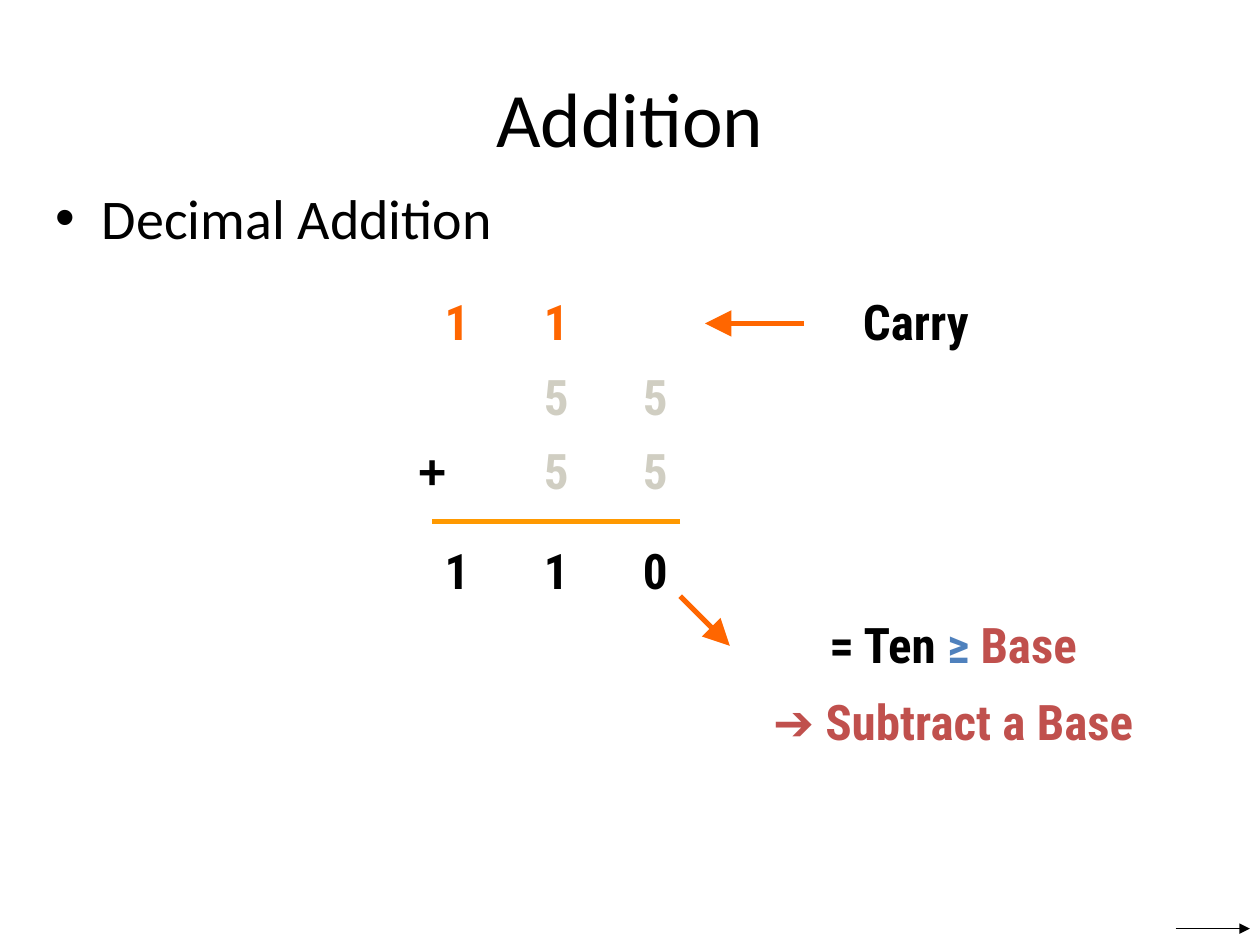
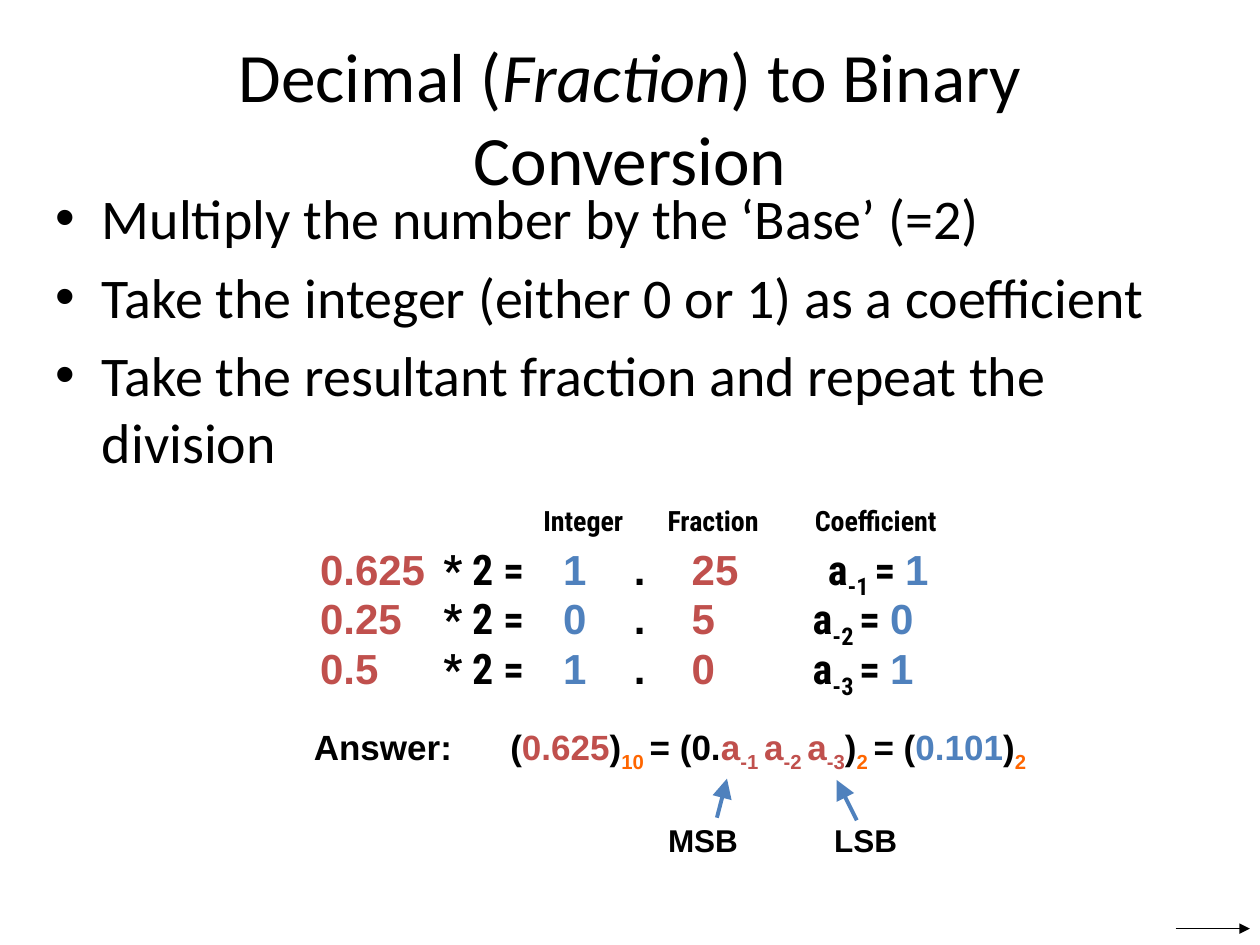
"""Builds two slides on decimal addition and on converting fractions to binary."""
from dataclasses import dataclass

from lxml.etree import SubElement
from pptx import Presentation
from pptx.dml.color import RGBColor
from pptx.enum.shapes import MSO_CONNECTOR
from pptx.enum.text import MSO_ANCHOR, MSO_AUTO_SIZE, PP_ALIGN
from pptx.oxml.ns import qn
from pptx.util import Cm, Inches, Pt

BLACK = RGBColor(0x00, 0x00, 0x00)
ORANGE = RGBColor(0xFF, 0x66, 0x00)
AMBER = RGBColor(0xFF, 0x99, 0x00)
RED = RGBColor(0xC0, 0x50, 0x4D)
BLUE = RGBColor(0x4F, 0x81, 0xBD)
PALE = RGBColor(0xD0, 0xCE, 0xC2)

BODY_FONT = "Calibri"
LABEL_FONT = "Roboto Condensed"
NUMBER_FONT = "Arial"

GRID_LEFT, GRID_TOP, GRID_STEP = Inches(3.43), Inches(2.37), Cm(0.5)
DIGIT_PITCH, DIGIT_SPAN = 4, 2
ROW_TOP, ROW_PITCH = 4.31, 0.395
ROW_TABS = (0.98, 1.93, 2.49, 2.95)


@dataclass
class Span:
    """A piece of text with one format."""
    text: str
    color: RGBColor = BLACK
    font: str = LABEL_FONT
    lowered: bool = False
    italic: bool = False


def grid(column, row):
    """Return the position of a point on the addition grid."""
    return GRID_LEFT + column * GRID_STEP, GRID_TOP + row * GRID_STEP


def point(left, top):
    """Return a position given in inches."""
    return Inches(left), Inches(top)


def write_spans(paragraph, spans, size, bold):
    """Add formatted runs to a paragraph."""
    for span in spans:
        run = paragraph.add_run()
        run.text = span.text
        run.font.name = span.font
        run.font.size = Pt(size)
        run.font.bold = bold
        run.font.italic = span.italic
        run.font.color.rgb = span.color
        if span.lowered:
            run.font._element.set("baseline", "-25000")


def set_tabs(paragraph, stops):
    """Give a paragraph left tab stops in inches."""
    tab_list = SubElement(paragraph._p.get_or_add_pPr(), qn("a:tabLst"))
    for stop in stops:
        SubElement(tab_list, qn("a:tab"), pos=str(Inches(stop)), algn="l")


def add_label(page, lines, place, width, size, height=Inches(0.42),
              align=PP_ALIGN.CENTER, spacing=None, tabs=(), anchor=MSO_ANCHOR.TOP):
    """Add bold text without margins, one list of spans a line."""
    box = page.shapes.add_textbox(*place, width, height)
    frame = box.text_frame
    frame.word_wrap = True
    frame.vertical_anchor = anchor
    frame.margin_left = frame.margin_right = frame.margin_top = frame.margin_bottom = 0
    for index, spans in enumerate(lines):
        paragraph = frame.add_paragraph() if index else frame.paragraphs[0]
        paragraph.alignment = align
        if spacing:
            paragraph.line_spacing = spacing
        if index:
            paragraph.space_before = Pt(size / 2)
        if tabs:
            set_tabs(paragraph, tabs)
        write_spans(paragraph, spans, size, True)


def add_line(page, start, end, color, weight, head="lg"):
    """Add a straight line, with an arrowhead of the given size at its end."""
    line = page.shapes.add_connector(MSO_CONNECTOR.STRAIGHT, *start, *end)
    line.line.color.rgb = color
    line.line.width = Pt(weight)
    if head:
        SubElement(line.line._get_or_add_ln(), qn("a:tailEnd"),
                   type="triangle", w=head, len=head)
    SubElement(line._element.spPr, qn("a:effectLst"))


def add_bullets(page, texts, height):
    """Add the bulleted text below the title."""
    box = page.shapes.add_textbox(*point(0.34, 1.41), Inches(9.37), Inches(height))
    frame = box.text_frame
    frame.word_wrap = True
    for index, text in enumerate(texts):
        paragraph = frame.add_paragraph() if index else frame.paragraphs[0]
        if index:
            paragraph.space_before = Pt(6.4)
        properties = paragraph._p.get_or_add_pPr()
        properties.set("marL", str(Inches(0.37)))
        properties.set("indent", str(-Inches(0.37)))
        SubElement(properties, qn("a:buFont"), typeface="Arial")
        SubElement(properties, qn("a:buChar"), char="•")
        write_spans(paragraph, [Span(text, font=BODY_FONT)], 32, False)


def add_page(deck, title_spans, title_size):
    """Add a slide with its title and the corner arrow."""
    page = deck.slides.add_slide(deck.slide_layouts[5])
    title = page.shapes.title
    title.left, title.top = point(0.5, 0.3)
    title.width, title.height = point(9, 1.25)
    frame = title.text_frame
    frame.auto_size = MSO_AUTO_SIZE.NONE
    frame.vertical_anchor = MSO_ANCHOR.MIDDLE
    frame.margin_left = frame.margin_right = Inches(0.15)
    frame.paragraphs[0].alignment = PP_ALIGN.CENTER
    write_spans(frame.paragraphs[0], title_spans, title_size, False)
    add_line(page, point(9.33, 7.37), point(9.92, 7.37), BLACK, 0.75, head="med")
    return page


def add_grid_label(page, lines, column, row, columns=DIGIT_SPAN):
    """Add a label that spans columns of the addition grid."""
    add_label(page, lines, grid(column, row), columns * GRID_STEP, 28, spacing=0.9)


def add_digits(page, digits, row, color):
    """Add one row of digits, leaving out the blank places."""
    for place, digit in enumerate(digits):
        if digit != " ":
            add_grid_label(page, [[Span(digit, color)]], place * DIGIT_PITCH, row)


def build_addition(deck):
    """Build the slide on decimal addition."""
    page = add_page(deck, [Span("Addition", font=BODY_FONT)], 44)
    add_bullets(page, ["Decimal Addition"], 0.87)
    for digits, row, color in (("11 ", 0, ORANGE), (" 55", 3, PALE),
                               (" 55", 6, PALE), ("110", 10, BLACK)):
        add_digits(page, digits, row, color)
    add_grid_label(page, [[Span("+", font=NUMBER_FONT)]], -1, 6)
    add_grid_label(page, [[Span("Carry")]], 16, 0, 7)
    add_grid_label(page, [[Span("= Ten "), Span("≥ ", BLUE), Span("Base", RED)],
                          [Span("➔ Subtract a Base", RED)]], 13, 13, 16)
    add_line(page, grid(10, 9), grid(0, 9), AMBER, 3, head=None)
    add_line(page, grid(15, 1), grid(11, 1), ORANGE, 3)
    add_line(page, grid(10, 12), grid(12, 14), ORANGE, 3)


def add_step(page, index, number, integer, fraction, coefficient_tab):
    """Add one multiplication with its coefficient."""
    spans = [Span(number + "\t", RED, NUMBER_FONT), Span("* 2 =\t"),
             Span(integer + "\t", BLUE, NUMBER_FONT), Span(".\t", font=NUMBER_FONT),
             Span(fraction + "\t", RED, NUMBER_FONT), Span("a"),
             Span(f"-{index + 1} ", lowered=True), Span("= "),
             Span(integer, BLUE, NUMBER_FONT)]
    add_label(page, [spans], point(2.54, ROW_TOP + index * ROW_PITCH), Inches(5.5), 24,
              align=PP_ALIGN.LEFT, tabs=ROW_TABS + (coefficient_tab,))


def add_answer(page):
    """Add the line with the result."""
    pieces = [("Answer:\t(", BLACK, False), ("0.625", RED, False), (")", BLACK, False),
              ("10 ", ORANGE, True), ("= (0.", BLACK, False)]
    for index in ("-1 ", "-2 ", "-3"):
        pieces += [("a", RED, False), (index, RED, True)]
    pieces += [(")", BLACK, False), ("2 ", ORANGE, True), ("= (", BLACK, False),
               ("0.101", BLUE, False), (")", BLACK, False), ("2", ORANGE, True)]
    spans = [Span(text, color, NUMBER_FONT, lowered) for text, color, lowered in pieces]
    add_label(page, [spans], point(2.49, 5.76), Inches(5.95), 20,
              align=PP_ALIGN.LEFT, tabs=(1.56,))


def build_conversion(deck):
    """Build the slide on converting a fraction to binary."""
    page = add_page(deck, [Span("Decimal (", font=BODY_FONT),
                           Span("Fraction", font=BODY_FONT, italic=True),
                           Span(") to Binary Conversion", font=BODY_FONT)], 39.6)
    add_bullets(page, ["Multiply the number by the ‘Base’ (=2)",
                       "Take the integer (either 0 or 1) as a coefficient",
                       "Take the resultant fraction and repeat the division"], 3.2)
    for heading, center in (("Integer", 4.63), ("Fraction", 5.66), ("Coefficient", 6.95)):
        add_label(page, [[Span(heading)]], point(center - 0.6, 4), Inches(1.2), 16,
                  height=Inches(0.27))
    steps = (("0.625", "1", "25", 4.03), ("0.25", "0", "5", 3.91), ("0.5", "1", "0", 3.91))
    for index, step in enumerate(steps):
        add_step(page, index, *step)
    add_answer(page)
    for name, center, start, end in (("MSB", 5.58, (5.69, 6.49), (5.77, 6.18)),
                                     ("LSB", 6.87, (6.8, 6.51), (6.64, 6.19))):
        add_label(page, [[Span(name, font=NUMBER_FONT)]], point(center - 0.4, 6.51),
                  Inches(0.8), 18, height=Inches(0.36), spacing=0.87,
                  anchor=MSO_ANCHOR.MIDDLE)
        add_line(page, point(*start), point(*end), BLUE, 2.25)


def main():
    """Build and save the deck."""
    deck = Presentation()
    deck.slide_width, deck.slide_height = point(10, 7.5)
    build_addition(deck)
    build_conversion(deck)
    deck.save("out.pptx")


if __name__ == "__main__":
    main()
